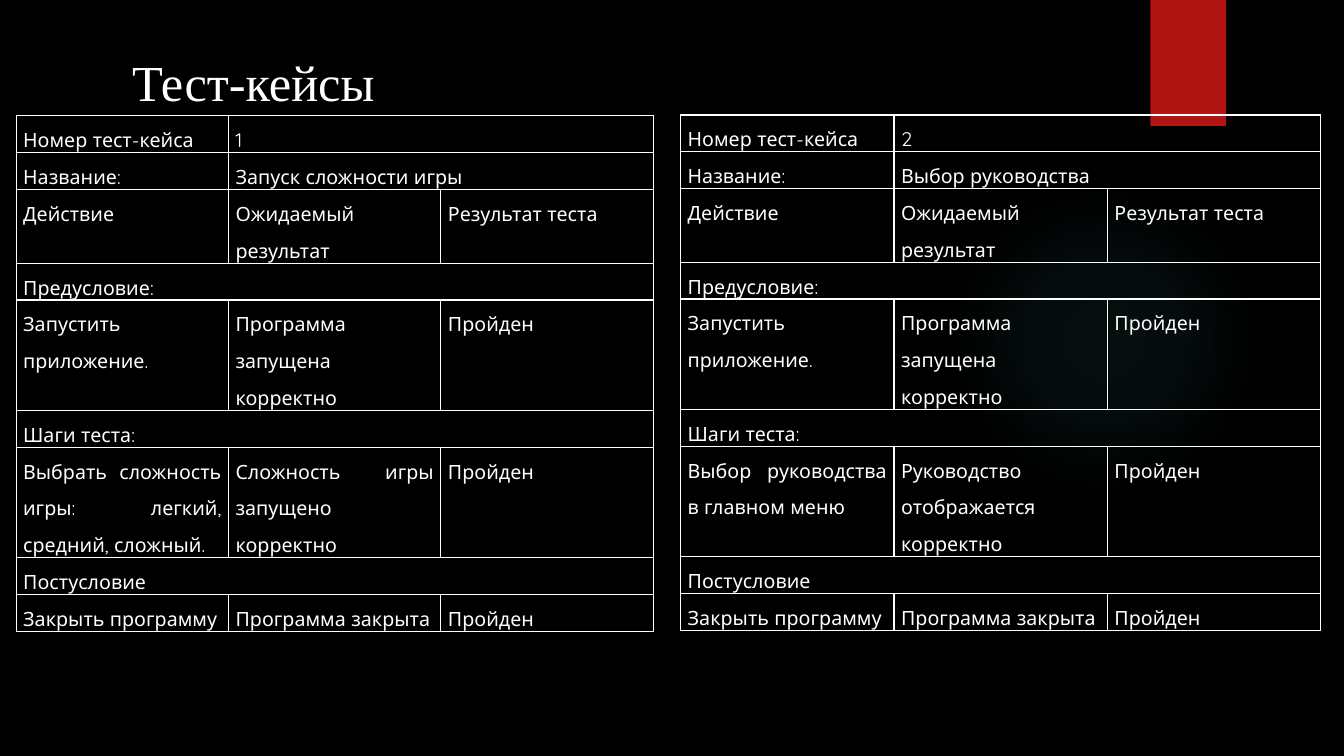
import dataclasses

import lxml.etree
import pptx
import pptx.dml.color
import pptx.enum.shapes
import pptx.enum.text
import pptx.oxml
import pptx.oxml.ns
import pptx.util


@dataclasses.dataclass(frozen=True)
class Theme:
    """Colours, fonts and type sizes of the slide."""
    background: str = "000000"
    text: str = "FFFFFF"
    accent: str = "B01513"
    glow: str = "50B9C1"
    title_font: str = "Times New Roman"
    table_font: str = "Quicksand"
    title_size: float = 36
    table_size: float = 14
    border_width: float = 1


class TestCaseSlide:
    """Draws elements placed in percent of the slide's size."""

    def __init__(self, presentation, theme):
        """Add a title slide with a plain background."""
        self.theme = theme
        self.width = presentation.slide_width
        self.height = presentation.slide_height
        self.slide = presentation.slides.add_slide(presentation.slide_layouts[5])
        self.paint(self.slide.background.fill, theme.background)

    def paint(self, fill, color):
        """Fill with one solid colour."""
        fill.solid()
        fill.fore_color.rgb = pptx.dml.color.RGBColor.from_string(color)

    def box(self, left, top, width, height):
        """Turn percentages into slide lengths."""
        return (round(self.width * left / 100), round(self.height * top / 100),
                round(self.width * width / 100), round(self.height * height / 100))

    def set_text(self, paragraph, text, font_name, size, line_spacing, alignment):
        """Set a paragraph's text and style."""
        paragraph.text = text
        paragraph.line_spacing = line_spacing
        paragraph.alignment = alignment
        paragraph.font.name = font_name
        paragraph.font.size = pptx.util.Pt(size)
        paragraph.font.color.rgb = pptx.dml.color.RGBColor.from_string(self.theme.text)

    def title(self, text, *area):
        """Place and format the title placeholder."""
        shape = self.slide.shapes.title
        shape.left, shape.top, shape.width, shape.height = self.box(*area)
        shape.text_frame.vertical_anchor = pptx.enum.text.MSO_ANCHOR.MIDDLE
        self.set_text(shape.text_frame.paragraphs[0], text, self.theme.title_font,
                      self.theme.title_size, 0.9, pptx.enum.text.PP_ALIGN.LEFT)

    def shape(self, kind, color, *area):
        """Add a solid shape without outline or shadow."""
        shape = self.slide.shapes.add_shape(kind, *self.box(*area))
        shape.shadow.inherit = False
        shape.line.fill.background()
        self.paint(shape.fill, color)
        return shape

    def glow(self, stops, *area):
        """Add an ellipse that fades out from its centre."""
        shape = self.shape(pptx.enum.shapes.MSO_SHAPE.OVAL, self.theme.glow, *area)
        stop_xml = "".join(
            f'<a:gs pos="{position * 1000}"><a:srgbClr val="{self.theme.glow}">'
            f'<a:alpha val="{opacity * 1000}"/></a:srgbClr></a:gs>'
            for position, opacity in stops)
        gradient = pptx.oxml.parse_xml(
            f'<a:gradFill {pptx.oxml.ns.nsdecls("a")}><a:gsLst>{stop_xml}</a:gsLst>'
            '<a:path path="circle"><a:fillToRect l="50000" t="50000" r="50000" b="50000"/>'
            '</a:path></a:gradFill>')
        properties = shape.element.spPr
        properties.replace(properties.find(pptx.oxml.ns.qn("a:solidFill")), gradient)

    def borders(self, cell):
        """Draw all four borders of a cell."""
        properties = cell._tc.get_or_add_tcPr()
        for side in ("lnL", "lnR", "lnT", "lnB"):
            line = lxml.etree.SubElement(properties, pptx.oxml.ns.qn(f"a:{side}"),
                                         w=str(pptx.util.Pt(self.theme.border_width)))
            fill = lxml.etree.SubElement(line, pptx.oxml.ns.qn("a:solidFill"))
            lxml.etree.SubElement(fill, pptx.oxml.ns.qn("a:srgbClr"), val=self.theme.text)

    def table(self, rows, line_counts, left, top, width, line_height):
        """Add a three-column table whose short rows span to the right edge."""
        area = self.box(left, top, width, line_height * sum(line_counts))
        table = self.slide.shapes.add_table(len(rows), 3, *area).table
        table.first_row = table.horz_banding = False
        for table_row, lines in zip(table.rows, line_counts):
            table_row.height = round(self.height * line_height * lines / 100)
        for cell in table.iter_cells():
            self.borders(cell)
            cell.fill.background()
            cell.margin_left = cell.margin_right = pptx.util.Inches(0.07)
            cell.margin_top = cell.margin_bottom = 0
        for row_index, texts in enumerate(rows):
            last = len(texts) - 1
            if last < 2:
                table.cell(row_index, last).merge(table.cell(row_index, 2))
            for column_index, text in enumerate(texts):
                paragraph = table.cell(row_index, column_index).text_frame.paragraphs[0]
                self.set_text(paragraph, text, self.theme.table_font, self.theme.table_size,
                              1.5, pptx.enum.text.PP_ALIGN.JUSTIFY)


def test_case(number, name, action, expected):
    """Return the rows of one test case."""
    passed = "Пройден"
    return [
        ("Номер тест-кейса", number),
        ("Название:", name),
        ("Действие", "Ожидаемый результат", "Результат теста"),
        ("Предусловие:",),
        ("Запустить приложение.", "Программа запущена корректно", passed),
        ("Шаги теста:",),
        (action, expected, passed),
        ("Постусловие",),
        ("Закрыть программу", "Программа закрыта", passed),
    ]


def main():
    """Build and save the slide."""
    presentation = pptx.Presentation()
    presentation.slide_width = pptx.util.Inches(13.33)
    presentation.slide_height = pptx.util.Inches(7.5)
    theme = Theme()
    page = TestCaseSlide(presentation, theme)
    page.glow([(0, 7), (36, 6), (69, 0)], 70.59, 24.4, 23.11, 41.07)
    page.shape(pptx.enum.shapes.MSO_SHAPE.RECTANGLE, theme.accent, 85.6, 0, 5.63, 16.67)
    page.title("Тест-кейсы", 9.08, 5.87, 73.37, 10.93)
    line_counts = (1, 1, 2, 1, 3, 1, 3, 1, 1)
    launch = test_case("1", "Запуск сложности игры",
                       "Выбрать сложность игры: легкий, средний, сложный.",
                       "Сложность игры запущено корректно")
    guide = test_case("2", "Выбор руководства", "Выбор руководства в главном меню",
                      "Руководство отображается корректно")
    page.table(launch, line_counts, 1.2, 15.33, 47.41, 4.87)
    page.table(guide, line_counts, 50.64, 15.2, 47.64, 4.87)
    presentation.save("out.pptx")


if __name__ == "__main__":
    main()
